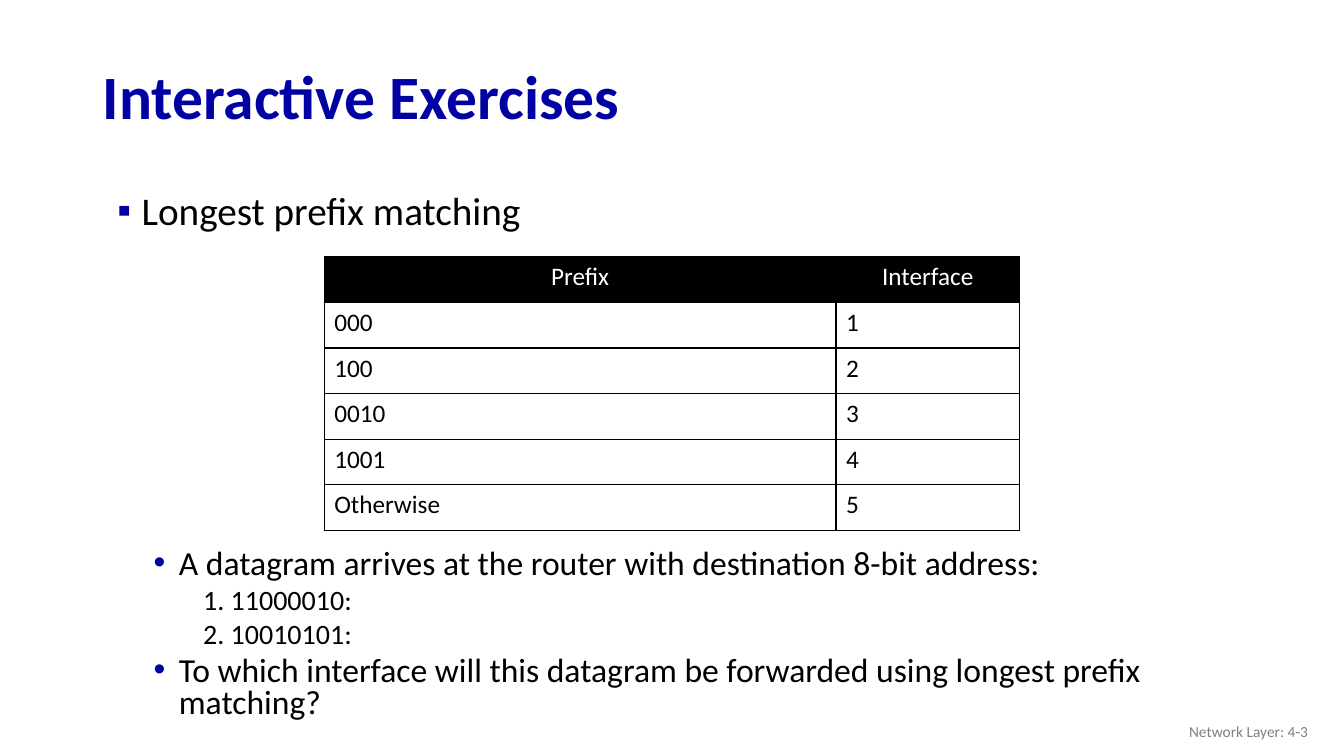
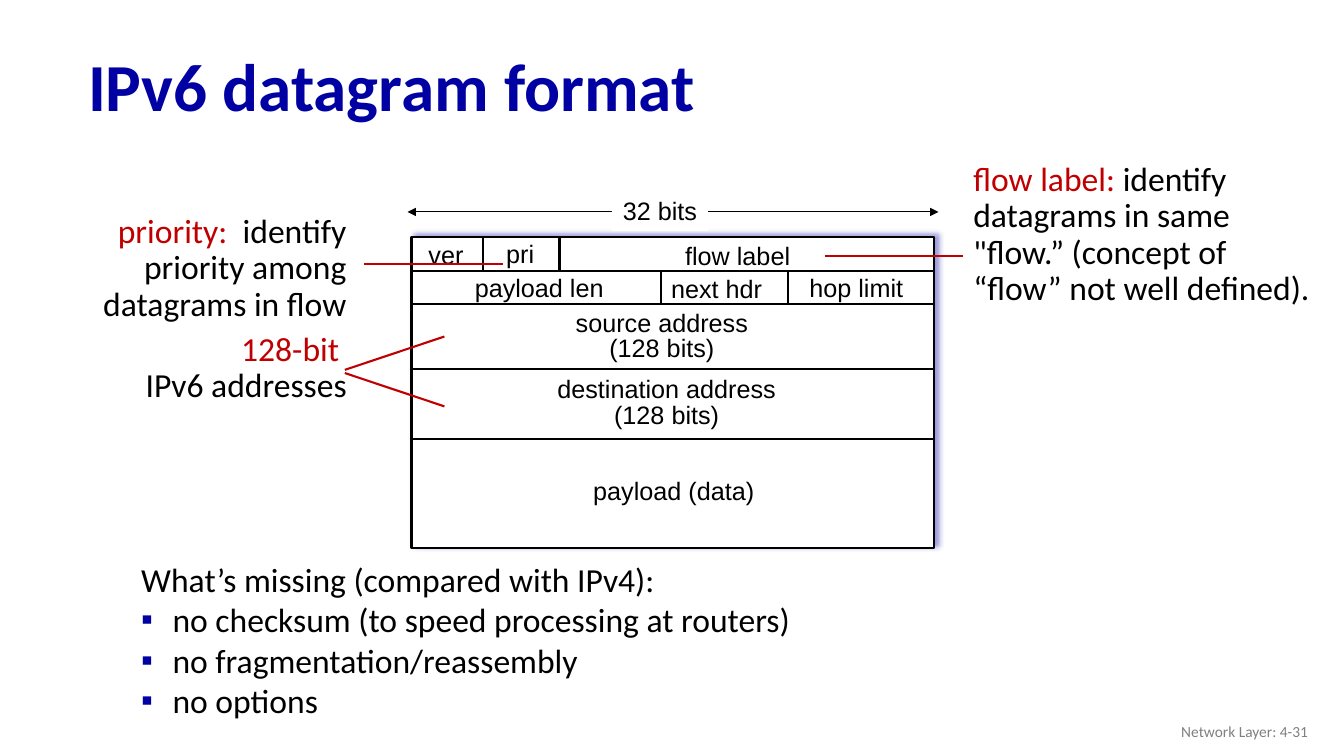
from lxml import etree
from pptx import Presentation
from pptx.dml.color import RGBColor
from pptx.enum.shapes import MSO_CONNECTOR, MSO_SHAPE
from pptx.enum.text import MSO_ANCHOR, PP_ALIGN
from pptx.oxml.ns import qn
from pptx.util import Cm, Pt

LEFT, CENTER, RIGHT = PP_ALIGN.LEFT, PP_ALIGN.CENTER, PP_ALIGN.RIGHT
TOP, MIDDLE = MSO_ANCHOR.TOP, MSO_ANCHOR.MIDDLE
STRAIGHT, RECTANGLE = MSO_CONNECTOR.STRAIGHT, MSO_SHAPE.RECTANGLE

COLORS = {"title": "0000A3", "text": "000000", "accent": "C00000",
          "footer": "808080", "paper": "FFFFFF"}
BODY_FONT, DIAGRAM_FONT = "Calibri", "Arial"


def rgb(name):
    """Return the named colour."""
    return RGBColor.from_string(COLORS[name])


def add_color(parent, name):
    """Append a colour element and return it."""
    return etree.SubElement(parent, qn("a:srgbClr"), val=COLORS[name])


def write(frame, text, lead="", size=24, color="text", font=BODY_FONT, bold=False,
          align=LEFT, spacing=None, before=0, bullet=None, indent=0, hanging=0):
    """Add one formatted paragraph, with an optional accented lead."""
    paragraph = frame.paragraphs[0]
    if paragraph.runs:
        paragraph = frame.add_paragraph()
    paragraph.alignment = align
    paragraph.space_before = Pt(before)
    if spacing:
        paragraph.line_spacing = spacing
    for content, run_color in ((lead, "accent"), (text, color)):
        if content:
            run = paragraph.add_run()
            run.text = content
            run.font.name, run.font.size, run.font.bold = font, Pt(size), bold
            run.font.color.rgb = rgb(run_color)
    properties = paragraph._p.get_or_add_pPr()
    properties.set("marL", str(Cm(indent)))
    properties.set("indent", str(Cm(-hanging)))
    if bullet:
        add_color(etree.SubElement(properties, qn("a:buClr")), "title")
        etree.SubElement(properties, qn("a:buFont"), typeface=DIAGRAM_FONT)
        etree.SubElement(properties, qn("a:buChar"), char=bullet)


class Deck:
    """Hold the shared style and the current slide."""

    def __init__(self):
        """Start a widescreen presentation."""
        self.presentation = Presentation()
        self.presentation.slide_width = Cm(33.87)
        self.presentation.slide_height = Cm(19.05)
        self.slide = None

    def start(self, title, title_box, title_size, page):
        """Add a slide with its title and footer."""
        layout = self.presentation.slide_layouts[6]
        self.slide = self.presentation.slides.add_slide(layout)
        write(self.box(*title_box, anchor=MIDDLE), title, size=title_size,
              color="title", bold=True, spacing=0.9)
        write(self.box(25.6, 17.91, 7.62, 1.02, anchor=MIDDLE),
              f"Network Layer: {page}", size=11, color="footer", align=RIGHT)

    def box(self, left, top, width, height, anchor=TOP, fill=None):
        """Add a text box and return its frame."""
        shape = self.slide.shapes.add_textbox(Cm(left), Cm(top), Cm(width), Cm(height))
        if fill:
            shape.fill.solid()
            shape.fill.fore_color.rgb = rgb(fill)
        frame = shape.text_frame
        frame.word_wrap, frame.vertical_anchor = True, anchor
        return frame

    def label(self, lines, center_x, center_y, width, fill=None):
        """Add a diagram label around a centre point."""
        height = 1.02 if len(lines) == 1 else 1.55
        frame = self.box(center_x - width / 2, center_y - height / 2, width, height,
                         anchor=MIDDLE, fill=fill)
        for line in lines:
            write(frame, line, size=18, font=DIAGRAM_FONT, align=CENTER,
                  spacing=0.85 if len(lines) > 1 else None)

    def line(self, start_x, start_y, end_x, end_y, color="text", width=1.5, arrows=False):
        """Add a straight line, with arrowheads at both ends on request."""
        connector = self.slide.shapes.add_connector(
            STRAIGHT, Cm(start_x), Cm(start_y), Cm(end_x), Cm(end_y))
        connector.line.color.rgb = rgb(color)
        connector.line.width = Pt(width)
        if arrows:
            outline = connector.line._get_or_add_ln()
            for end in ("a:headEnd", "a:tailEnd"):
                etree.SubElement(outline, qn(end), type="triangle")
        etree.SubElement(connector._element.spPr, qn("a:effectLst"))

    def panel(self, left, top, width, height):
        """Add a white outlined rectangle with a soft blue shadow."""
        shape = self.slide.shapes.add_shape(
            RECTANGLE, Cm(left), Cm(top), Cm(width), Cm(height))
        shape.fill.solid()
        shape.fill.fore_color.rgb = rgb("paper")
        shape.line.color.rgb = rgb("text")
        shape.line.width = Pt(1.5)
        shape.shadow.inherit = False
        effects = shape._element.spPr.find(qn("a:effectLst"))
        shadow = etree.SubElement(effects, qn("a:outerShdw"), blurRad=str(Pt(4)),
                                  dist=str(Pt(3)), dir=str(315 * 60000),
                                  algn="bl", rotWithShape="0")
        etree.SubElement(add_color(shadow, "title"), qn("a:alpha"), val="40000")

    def table(self, left, top, widths, row_height, rows):
        """Add a bordered table with a black header row."""
        table = self.slide.shapes.add_table(
            len(rows), len(widths), Cm(left), Cm(top),
            Cm(sum(widths)), Cm(row_height * len(rows))).table
        for column, width in zip(table.columns, widths):
            column.width = Cm(width)
        for row_index, values in enumerate(rows):
            table.rows[row_index].height = Cm(row_height)
            header = row_index == 0
            for column_index, value in enumerate(values):
                cell = table.cell(row_index, column_index)
                cell.fill.solid()
                cell.fill.fore_color.rgb = rgb("text" if header else "paper")
                write(cell.text_frame, value, size=18,
                      color="paper" if header else "text",
                      align=CENTER if header else LEFT)
                self.border(cell)

    def border(self, cell):
        """Draw a thin line on all four sides of a cell."""
        properties = cell._tc.get_or_add_tcPr()
        for position, side in enumerate(("a:lnL", "a:lnR", "a:lnT", "a:lnB")):
            edge = etree.Element(qn(side), w=str(Pt(1)))
            add_color(etree.SubElement(edge, qn("a:solidFill")), "text")
            properties.insert(position, edge)


def build_exercises(deck):
    """Build the longest prefix matching exercise."""
    deck.start("Interactive Exercises", (2.34, 1.26, 29.21, 2.49), 44, "4-3")
    write(deck.box(2.33, 4.8, 29.21, 1.2), "Longest prefix matching", size=28,
          spacing=0.8, bullet="▪", indent=0.99, hanging=0.61)
    prefixes = ("000", "100", "0010", "1001", "Otherwise")
    rows = [("Prefix", "Interface")]
    rows += [(prefix, str(number)) for number, prefix in enumerate(prefixes, 1)]
    deck.table(8.17, 6.47, (12.9, 4.62), 1.15, rows)

    question = {"bullet": "•", "indent": 1.93, "hanging": 0.64}
    address = {"size": 20, "indent": 2.54}
    frame = deck.box(2.33, 13.72, 29.21, 5.1)
    for text, style in (
            ("A datagram arrives at the router with destination 8-bit address:", question),
            ("1. 11000010:", address),
            ("2. 10010101:", address),
            ("To which interface will this datagram be forwarded using longest prefix "
             "matching?", question)):
        write(frame, text, spacing=0.8, before=5, **style)


def build_datagram(deck):
    """Build the IPv6 datagram diagram."""
    deck.start("IPv6 datagram format", (1.97, 0.77, 29.21, 2.97), 48, "4-31")
    left, top, width, height = 10.37, 5.98, 13.18, 7.82
    right = left + width
    deck.panel(left, top, width, height)
    first_row, second_row = 6.83, 7.67
    for y in (first_row, second_row, 9.3, 11.07):
        deck.line(left, y, right, y)
    for x, start, end in ((12.17, top, first_row), (14.1, top, first_row),
                          (16.66, first_row, second_row), (19.86, first_row, second_row)):
        deck.line(x, start, x, end)
    for lines, x, y in (
            (["ver"], 11.24, 6.4), (["pri"], 13.11, 6.38), (["flow label"], 18.59, 6.43),
            (["payload len"], 13.59, 7.24), (["next hdr"], 18.06, 7.26),
            (["hop limit"], 21.58, 7.24),
            (["source address", "(128 bits)"], 16.68, 8.5),
            (["destination address", "(128 bits)"], 16.8, 10.17),
            (["payload (data)"], 16.98, 12.35)):
        deck.label(lines, x, y, width=0.5 + 0.4 * max(map(len, lines)))
    deck.line(left - 0.1, 5.34, right + 0.1, 5.34, width=0.75, arrows=True)
    deck.label(["32 bits"], 16.63, 5.31, width=2.42, fill="paper")

    write(deck.box(0.45, 5.28, 8.53, 3.02), "identify priority among datagrams in flow",
          lead="priority:  ", align=RIGHT, spacing=0.9)
    write(deck.box(24.28, 3.97, 8.99, 3.96),
          "identify datagrams in same \"flow.” (concept of “flow” not well defined).",
          lead="flow label: ", spacing=0.9)
    addresses = deck.box(0, 8.25, 8.99, 2.11)
    write(addresses, "128-bit ", color="accent", align=RIGHT, spacing=0.9)
    write(addresses, "IPv6 addresses", align=RIGHT, spacing=0.9)
    for pointer in ((9.17, 6.65, 12.67, 6.65), (20.78, 6.45, 24.28, 6.45),
                    (8.69, 9.4, 11.2, 10.24), (8.69, 9.32, 11.2, 8.48)):
        deck.line(*pointer, color="accent")

    missing = deck.box(3.31, 13.96, 24.92, 4.37)
    write(missing, "What’s missing (compared with IPv4):")
    for text in ("no checksum (to speed processing at routers)",
                 "no fragmentation/reassembly", "no options"):
        write(missing, text, bullet="▪", indent=0.79, hanging=0.79)


def main():
    """Build and save the presentation."""
    deck = Deck()
    build_exercises(deck)
    build_datagram(deck)
    deck.presentation.save("out.pptx")


if __name__ == "__main__":
    main()
